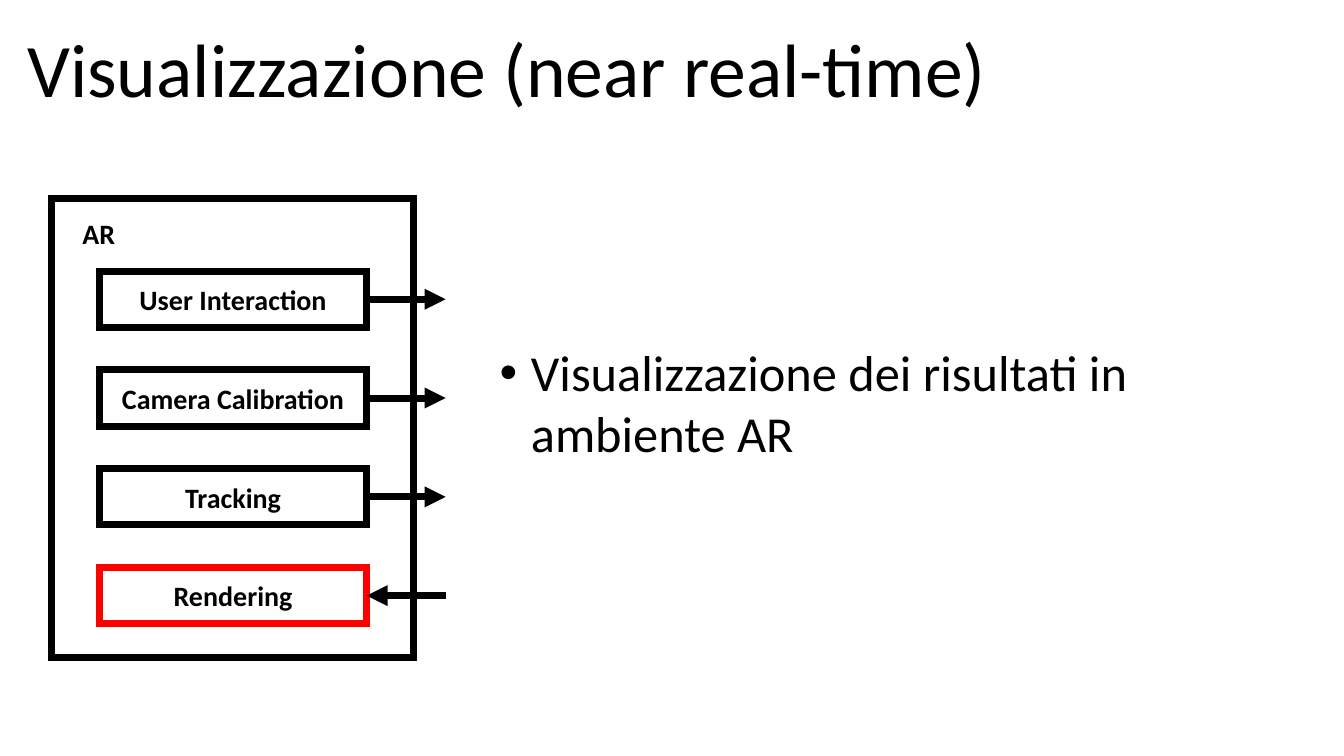
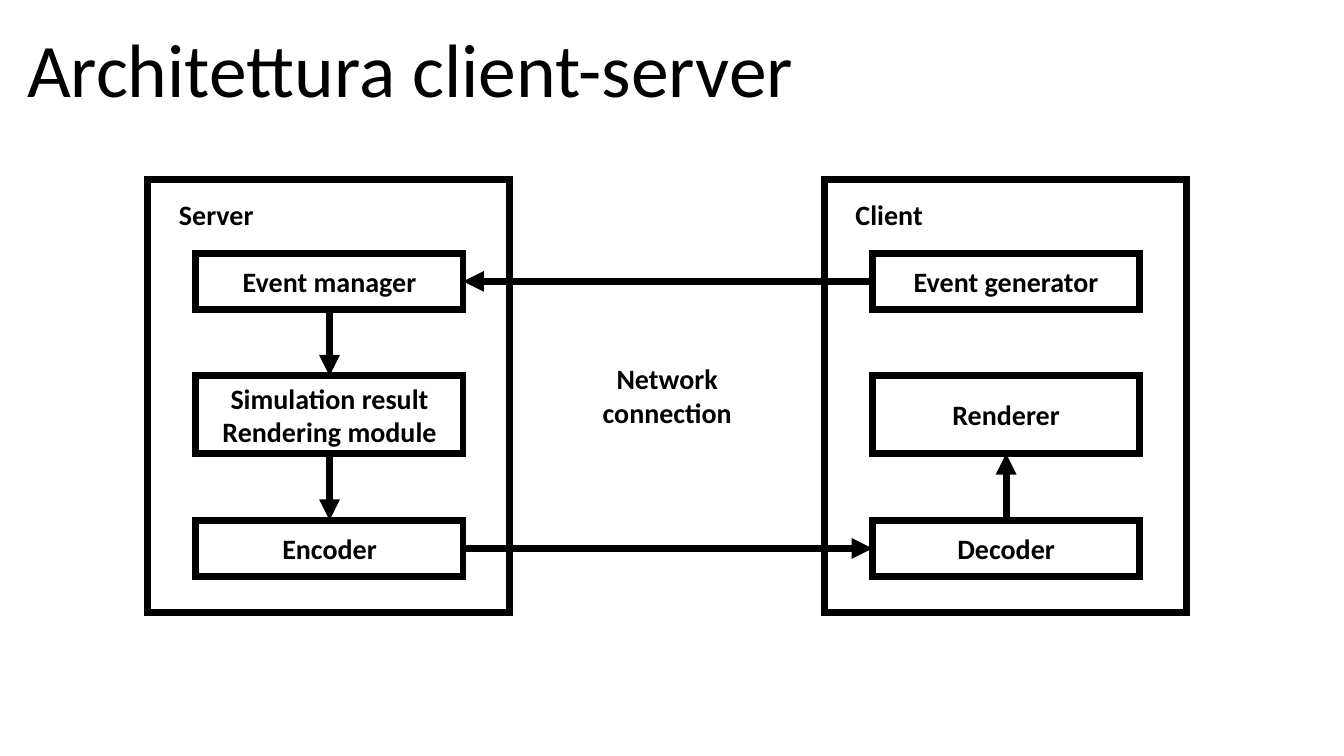
from lxml import etree
from pptx import Presentation
from pptx.dml.color import RGBColor
from pptx.enum import shapes, text
from pptx.oxml.ns import qn
from pptx.util import Cm, Pt

HUES = {"ink": "000000", "mark": "FF0000", "page": "FFFFFF"}
FONT = "Calibri"
EDGE = Pt(5)
LEFT, CENTER = text.PP_ALIGN.LEFT, text.PP_ALIGN.CENTER
TOP, SIDE, BASE, END = range(4)  # connection sites of a rectangle


def put(slide, lines, at, edge=None, size=20, bold=True, align=CENTER, wrap=True):
    """Add text, framed by a rectangle when an edge colour is given."""
    spot = [Cm(n) for n in at]
    if edge:
        shape = slide.shapes.add_shape(shapes.MSO_SHAPE.RECTANGLE, *spot)
        shape.shadow.inherit = False
        shape.fill.background()
        shape.line.color.rgb = RGBColor.from_string(HUES[edge])
        shape.line.width = EDGE
        ln = shape.element.spPr.find(qn("a:ln"))
        etree.SubElement(ln, qn("a:miter"), lim="800000")
    else:
        shape = slide.shapes.add_textbox(*spot)
    frame = shape.text_frame
    frame.word_wrap = wrap
    frame.vertical_anchor = text.MSO_ANCHOR.MIDDLE if edge else text.MSO_ANCHOR.TOP
    for i, line in enumerate(lines):
        para = frame.add_paragraph() if i else frame.paragraphs[0]
        para.alignment = align
        run = para.add_run()
        run.text = line
        run.font.name, run.font.size, run.font.bold = FONT, Pt(size), bold
        run.font.color.rgb = RGBColor.from_string(HUES["ink"])
    return shape


def arrow(slide, x1=0, y1=0, x2=0, y2=0):
    """Add a straight arrow that points at its second end."""
    link = slide.shapes.add_connector(
        shapes.MSO_CONNECTOR.STRAIGHT, Cm(x1), Cm(y1), Cm(x2), Cm(y2))
    link.line.color.rgb = RGBColor.from_string(HUES["ink"])
    link.line.width = EDGE
    props = link.element.spPr
    etree.SubElement(props.find(qn("a:ln")), qn("a:tailEnd"), type="triangle")
    etree.SubElement(props, qn("a:effectLst"))
    return link


deck = Presentation()
deck.slide_width, deck.slide_height = Cm(33.87), Cm(19.05)

# Slides and their titles
pages = []
for name, width in [("Visualizzazione (near real-time)", 24.94),
                    ("Architettura client-server", 20.14)]:
    page = deck.slides.add_slide(deck.slide_layouts[5])
    page.background.fill.solid()
    page.background.fill.fore_color.rgb = RGBColor.from_string(HUES["page"])
    title = page.shapes.title
    title.left, title.top = Cm(0.43), Cm(0.43)
    title.width, title.height = Cm(width), Cm(2.57)
    frame = title.text_frame
    frame.word_wrap = False
    frame.auto_size = text.MSO_AUTO_SIZE.NONE
    frame.vertical_anchor = text.MSO_ANCHOR.TOP
    para = frame.paragraphs[0]
    para.alignment = LEFT
    run = para.add_run()
    run.text = name
    run.font.name, run.font.size = FONT, Pt(54)
    run.font.color.rgb = RGBColor.from_string(HUES["ink"])
    pages.append(page)
view, arch = pages

# Panels with their labels
PANEL, INSET, WIDE, LOW, TALL = 9.12, 1.21, 6.73, 1.42, 1.96
for page, label, x, y, height, width in [
        (view, "AR", 1.3, 5, 11.58, 1.35),
        (arch, "Server", 3.73, 4.52, 10.92, 2.41),
        (arch, "Client", 20.78, 4.52, 10.92, 2.21)]:
    put(page, [], (x, y, PANEL, height), "ink")
    put(page, [label], (x + 0.53, y + 0.32, width, 1.12), align=LEFT, wrap=False)

# Visualisation: four stages, the last one receives
for i, stage in enumerate(["User Interaction", "Camera Calibration",
                           "Tracking", "Rendering"]):
    last = stage == "Rendering"
    x, y = 1.3 + INSET, 6.83 + 2.49 * i
    box = put(view, [stage], (x, y, WIDE, LOW), "mark" if last else "ink")
    ends = [x + WIDE, 11.23]
    if last:
        ends.reverse()
    mid = y + LOW / 2
    link = arrow(view, ends[0], mid, ends[1], mid)
    (link.end_connect if last else link.begin_connect)(box, END)

note = put(view, ["Visualizzazione dei risultati in ambiente AR"],
           (12.34, 8.48, 19.35, 3.33), size=36, bold=False, align=LEFT)
props = note.text_frame.paragraphs[0]._p.get_or_add_pPr()
props.set("marL", str(Cm(0.79)))
props.set("indent", str(-Cm(0.79)))
etree.SubElement(props, qn("a:buFont"), typeface="Arial")
etree.SubElement(props, qn("a:buChar"), char="•")

# Architecture: three rows on each side
rows = [(6.38, LOW), (9.47, TALL), (13.11, LOW)]
sides = [(3.73, [["Event manager"], ["Simulation result", "Rendering module"],
                 ["Encoder"]]),
         (20.78, [["Event generator"], ["Renderer"], ["Decoder"]])]
server, client = [
    [put(arch, lines, (x + INSET, y, WIDE, height), "ink")
     for lines, (y, height) in zip(names, rows)]
    for x, names in sides]
put(arch, ["Network", "connection"], (14.91, 8.99, 3.81, TALL), wrap=False)

for start, out, goal, into in [
        (client[0], SIDE, server[0], END),
        (server[0], BASE, server[1], TOP),
        (server[1], BASE, server[2], TOP),
        (server[2], END, client[2], SIDE),
        (client[2], TOP, client[1], BASE)]:
    link = arrow(arch)
    link.begin_connect(start, out)
    link.end_connect(goal, into)

deck.save("out.pptx")
